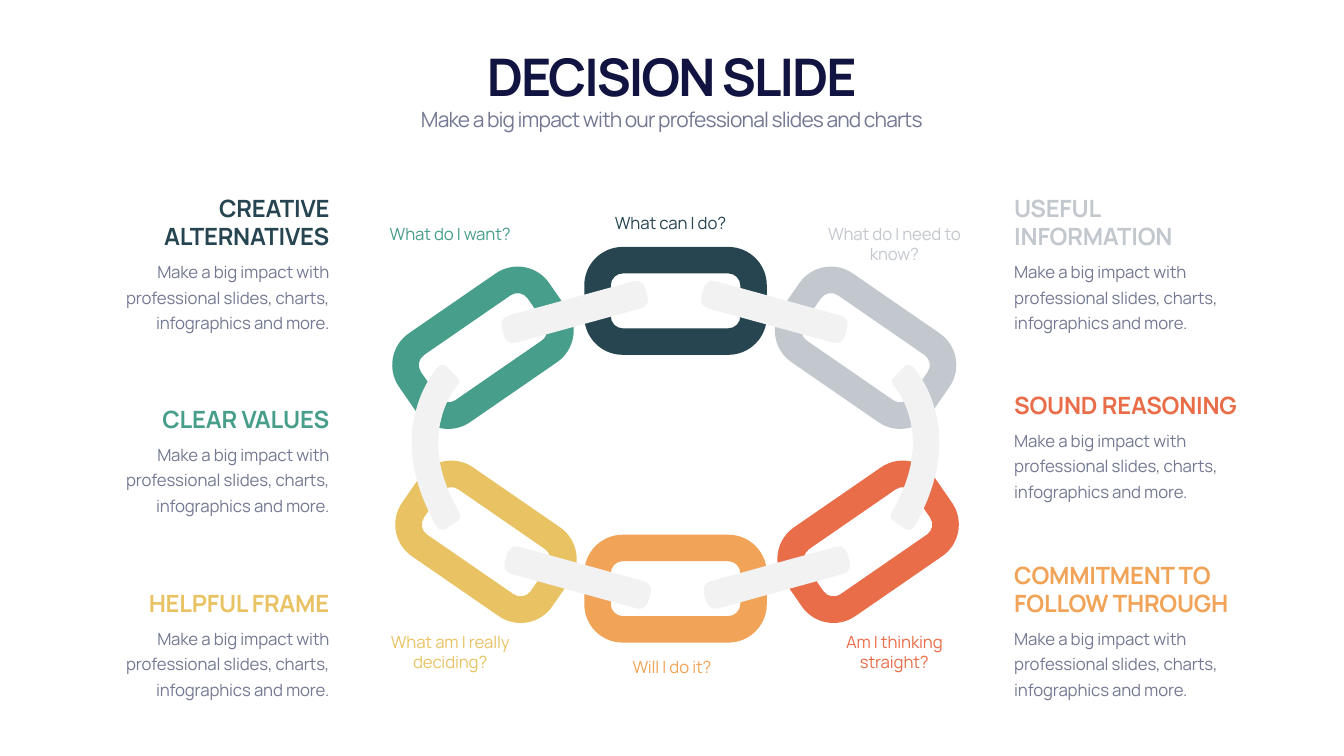
from math import cos, radians, sin

from pptx import Presentation
from pptx.dml.color import RGBColor
from pptx.enum.shapes import MSO_SHAPE
from pptx.enum.text import MSO_ANCHOR, MSO_AUTO_SIZE, PP_ALIGN
from pptx.oxml.ns import qn
from pptx.util import Inches, Pt

NAVY, SLATE, BAR = "111340", "747993", "F2F2F2"
TEAL, GREEN, YELLOW = "264551", "479E8B", "E9C363"
ORANGE, RED, GRAY = "F1A357", "E86D48", "C3C8CE"
LEFT, CENTER, RIGHT = PP_ALIGN.LEFT, PP_ALIGN.CENTER, PP_ALIGN.RIGHT
TOP, BOTTOM = MSO_ANCHOR.TOP, MSO_ANCHOR.BOTTOM
UNITS = 1000  # freeform units per inch
BEND = 0.55  # control point distance for a quarter circle


def rounded_outline(center, width, height, radius, tilt):
    """Return the segments of a tilted rounded rectangle: one point is a line, three a curve."""
    turn = radians(tilt)
    compass = [(1, 0), (0, 1), (-1, 0), (0, -1)]
    segments = []
    for quarter in range(4):
        (ax, ay), (bx, by) = compass[quarter], compass[(quarter + 1) % 4]
        corner = []
        for a, b in [(1, 0), (1, BEND), (BEND, 1), (0, 1)]:
            x = (width / 2 - radius) * (ax + bx) + radius * (a * ax + b * bx)
            y = (height / 2 - radius) * (ay + by) + radius * (a * ay + b * by)
            corner.append((center[0] + x * cos(turn) - y * sin(turn),
                           center[1] + x * sin(turn) + y * cos(turn)))
        segments += [corner[:1], corner[1:]]
    return segments


def write_text(box, frame, text, size, color, align, spacing,
               bold=False, anchor=TOP, leading=None):
    """Place a box and fill it with one formatted paragraph."""
    box.left, box.top, box.width, box.height = [Inches(value) for value in frame]
    text_frame = box.text_frame
    text_frame.word_wrap = True
    text_frame.auto_size = MSO_AUTO_SIZE.SHAPE_TO_FIT_TEXT
    text_frame.vertical_anchor = anchor
    para = text_frame.paragraphs[0]
    para.alignment = align
    para.space_before = Pt(0)
    if leading:
        para.line_spacing = Pt(leading)
    span = para.add_run()
    span.text = text
    span.font.name = "Manrope"
    span.font.size = Pt(size)
    span.font.bold = bold
    span.font.color.rgb = RGBColor.from_string(color)
    span.font._element.set("spc", str(round(spacing * 100)))


deck = Presentation()
deck.slide_width, deck.slide_height = Inches(26.66), Inches(15)
page = deck.slides.add_slide(deck.slide_layouts[0])
shapes = page.shapes

write_text(shapes.title, (1.66, 0.82, 23.33, 1.35), "DECISION SLIDE",
           74, NAVY, CENTER, -2.9, bold=True, anchor=BOTTOM)
write_text(page.placeholders[1], (1.66, 2.07, 23.33, 0.61),
           "Make a big impact with our professional slides and charts",
           30, SLATE, CENTER, -1.2)

# Chain links: colour, centre, tilt
links = [
    (TEAL, (13.4, 5.97), 0),
    (GRAY, (17.17, 6.9), 34.6),
    (GREEN, (9.58, 6.9), -34.6),
    (ORANGE, (13.4, 11.68), 0),
    (YELLOW, (9.64, 10.75), 34.6),
    (RED, (17.22, 10.75), -34.6),
]
outlines = [(color, [rounded_outline(center, 3.62, 2.14, 0.76, tilt),
                     rounded_outline(center, 2.57, 1.09, 0.24, tilt)])
            for color, center, tilt in links]

# Curved side bar, listed by segment
left_bar = [
    [(9.11, 10.16)],
    [(8.72, 9.49), (8.6, 8.86), (8.76, 8.28)],
    [(8.84, 7.97), (8.98, 7.76), (9.07, 7.65)],
    [(9.12, 7.58), (9.12, 7.54), (9.06, 7.48)],
    [(8.86, 7.27)],
    [(8.81, 7.22), (8.73, 7.23), (8.69, 7.28)],
    [(8.57, 7.42), (8.37, 7.7), (8.26, 8.11)],
    [(8.16, 8.45), (8.14, 8.81), (8.2, 9.18)],
    [(8.26, 9.6), (8.42, 10.03), (8.67, 10.46)],
    [(8.71, 10.51), (8.78, 10.53), (8.83, 10.5)],
    [(9.06, 10.35)],
    [(9.13, 10.31), (9.15, 10.23), (9.11, 10.16)],
]
right_bar = [[(26.8 - x, y) for x, y in segment] for segment in left_bar]
outlines += [(BAR, [left_bar]), (BAR, [right_bar])]

pieces = []
for color, contours in outlines:
    builder = None
    for contour in contours:
        points = [(x * UNITS, y * UNITS) for segment in contour for x, y in segment]
        if builder is None:
            builder = shapes.build_freeform(*points[0], scale=Inches(1) / UNITS)
        else:
            builder.move_to(*points[0])
        builder.add_line_segments(points[1:], close=True)
    piece = builder.convert_to_shape()
    # Join each group of three line steps into one curve
    steps = iter(list(piece._element.iter(qn("a:lnTo"))))
    for contour in contours:
        for segment in contour[1:]:
            group = [next(steps) for point in segment]
            if len(group) == 3:
                group[0].tag = qn("a:cubicBezTo")
                for step in group[1:]:
                    group[0].append(step[0])
                    step.getparent().remove(step)
    pieces.append((piece, color))

# Straight bars between neighbouring links: centre, tilt
bars = [((15.36, 6.19), 15.4), ((11.4, 6.19), -15.4),
        ((11.46, 11.46), 15.4), ((15.41, 11.46), -15.4)]
for (x, y), tilt in bars:
    bar = shapes.add_shape(MSO_SHAPE.ROUNDED_RECTANGLE, Inches(x - 2.95 / 2),
                           Inches(y - 0.28), Inches(2.95), Inches(0.56))
    bar.adjustments[0] = 0.32
    bar.rotation = tilt
    pieces.append((bar, BAR))

for piece, color in pieces:
    piece.shadow.inherit = False
    piece.fill.solid()
    piece.fill.fore_color.rgb = RGBColor.from_string(color)
    piece.line.fill.background()

# Side columns: left, alignment, heading bottom, heading height, heading, colour
sections = [
    (1.66, RIGHT, 5.02, 1.25, "CREATIVE ALTERNATIVES", TEAL),
    (1.66, RIGHT, 8.65, 0.67, "CLEAR VALUES", GREEN),
    (1.66, RIGHT, 12.3, 0.67, "HELPFUL FRAME", YELLOW),
    (20.02, LEFT, 5.02, 1.25, "USEFUL INFORMATION", GRAY),
    (20.02, LEFT, 8.37, 0.67, "SOUND REASONING", RED),
    (20.02, LEFT, 12.3, 1.25, "COMMITMENT TO FOLLOW THROUGH", ORANGE),
]
for left, align, bottom, height, heading, color in sections:
    write_text(shapes.add_textbox(0, 0, 0, 0), (left, bottom - height, 4.97, height),
               heading, 34, color, align, -0.3, bold=True, anchor=BOTTOM)
    write_text(shapes.add_textbox(0, 0, 0, 0), (left, bottom + 0.03, 4.97, 1.59),
               "Make a big impact with professional slides, charts, infographics and more.",
               24, SLATE, align, -0.2, leading=36)

# Questions beside the links: left, top, height, text, colour
questions = [
    (11.74, 4.17, 0.5, "What can I do?", TEAL),
    (7.37, 4.38, 0.5, "What do I want?", GREEN),
    (7.37, 12.49, 0.91, "What am I really deciding?", YELLOW),
    (11.77, 12.99, 0.5, "Will I do it?", ORANGE),
    (16.18, 12.49, 0.91, "Am I thinking straight?", RED),
    (16.18, 4.38, 0.91, "What do I need to know?", GRAY),
]
for left, top, height, question, color in questions:
    write_text(shapes.add_textbox(0, 0, 0, 0), (left, top, 3.12, height),
               question, 24, color, CENTER, -0.2)

deck.save("out.pptx")
